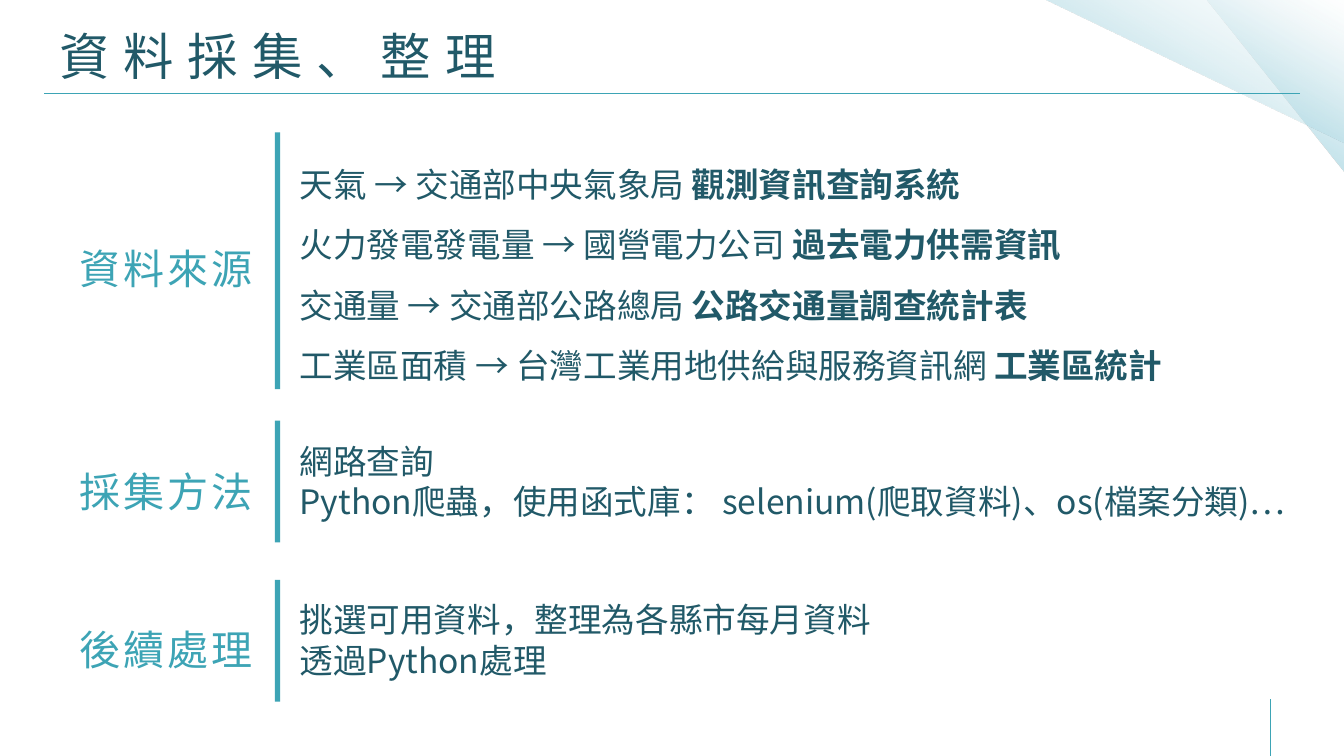
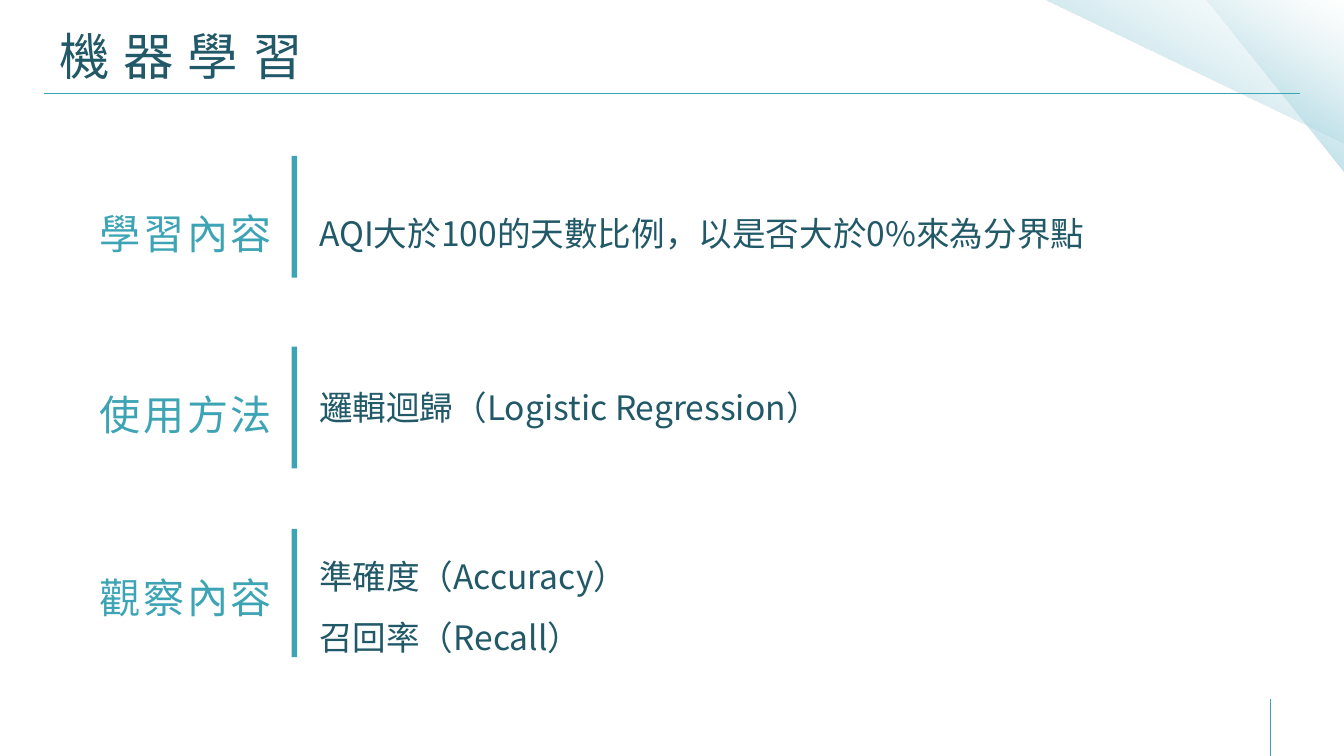
from dataclasses import dataclass

from lxml.etree import SubElement
from pptx import Presentation
from pptx.dml.color import RGBColor
from pptx.enum.shapes import MSO_CONNECTOR as Connector, MSO_SHAPE as Shape
from pptx.enum.text import MSO_ANCHOR as Anchor, MSO_AUTO_SIZE as AutoSize, PP_ALIGN as Align
from pptx.oxml import parse_xml
from pptx.oxml.ns import nsdecls, qn
from pptx.util import Inches, Pt


@dataclass(frozen=True)
class Theme:
    font: str = "Noto Sans CJK SC"
    dark: str = "215968"
    accent: str = "3DA4B5"
    corner_stops: tuple = ((0, "97D1E0", 100), (50, "AAD7E2", 44), (100, "E0F0F4", 0))
    corner_angle: int = 120
    title_size: int = 54
    label_size: int = 44
    text_size: int = 36
    title_tracking: int = 15
    label_tracking: int = 3
    rule_width: int = 1


@dataclass(frozen=True)
class Box:
    left: float
    top: float
    width: float
    height: float

    def inside(self, left, top, width, height):
        return Box(self.left + left, self.top + top, width, height)

    def lengths(self):
        return [grid(value) for value in (self.left, self.top, self.width, self.height)]


@dataclass(frozen=True)
class Section:
    label: str
    lines: tuple
    top: float
    height: float
    label_drop: float
    text_drop: float
    text_height: float
    line_spacing: float = 1.0


@dataclass(frozen=True)
class Topic:
    title: str
    bar_left: float
    label_gap: float
    text_gap: float
    sections: tuple


THEME = Theme()
COLUMNS, ROWS = 20, 11.25
SLIDE_WIDTH = Inches(20)
LABEL_WIDTH, LABEL_HEIGHT = 3.94, 0.85
BAR_WIDTH, TEXT_WIDTH = 0.08, 15.21
COMPARISON_LAYOUT = 4

TOPICS = (
    Topic("資料採集、整理", 4.09, 0.15, 0.27, (
        Section("資料來源", (
            ("天氣 → 交通部中央氣象局 ", "觀測資訊查詢系統"),
            ("火力發電發電量 → 國營電力公司 ", "過去電力供需資訊"),
            ("交通量 → 交通部公路總局 ", "公路交通量調查統計表"),
            ("工業區面積 → 台灣工業用地供給與服務資訊網 ", "工業區統計"),
        ), 1.97, 3.82, 1.42, 0.12, 3.74, 1.5),
        Section("採集方法", (
            ("網路查詢",),
            ("Python爬蟲，使用函式庫： selenium(爬取資料)、os(檔案分類)…",),
        ), 6.26, 1.81, 0.44, 0.25, 1.31),
        Section("後續處理", (
            ("挑選可用資料，整理為各縣市每月資料",),
            ("透過Python處理",),
        ), 8.63, 1.81, 0.43, 0.24, 1.31),
    )),
    Topic("機器學習", 4.34, 0.11, 0.31, (
        Section("學習內容", (
            ("AQI大於100的天數比例，以是否大於0%來為分界點",),
        ), 2.32, 1.81, 0.55, 0.5, 0.9, 1.5),
        Section("使用方法", (
            ("邏輯迴歸（Logistic Regression）",),
        ), 5.16, 1.81, 0.4, 0.55, 0.71),
        Section("觀察內容", (
            ("準確度（Accuracy）",),
            ("召回率（Recall）",),
        ), 7.87, 1.91, 0.41, 0.06, 1.81, 1.5),
    )),
)


def grid(units):
    return int(SLIDE_WIDTH * units / COLUMNS)


def place(item, box):
    item.left, item.top, item.width, item.height = box.lengths()


def style_span(span, size, color, tracking=0, bold=False):
    font = span.font
    font.size, font.name, font.bold = Pt(size), THEME.font, bold
    font.color.rgb = RGBColor.from_string(color)
    properties = font._element
    SubElement(properties, qn("a:ea")).set("typeface", THEME.font)
    if tracking:
        properties.set("spc", str(tracking * 100))


def fill_placeholder(holder, box, text, size, color, tracking, anchor, align):
    place(holder, box)
    frame = holder.text_frame
    frame.text = text
    frame.auto_size, frame.word_wrap = AutoSize.NONE, True
    frame.vertical_anchor = anchor
    frame.margin_left = frame.margin_right = grid(0.18)
    frame.margin_top = frame.margin_bottom = grid(0.09)
    para = frame.paragraphs[0]
    properties = para._p.get_or_add_pPr()
    properties.set("marL", "0")
    properties.set("indent", "0")
    SubElement(properties, qn("a:buNone"))
    para.alignment = align
    style_span(para.runs[0], size, color, tracking)
    return para


def add_corner(page, box):
    corner = page.shapes.add_shape(Shape.RIGHT_TRIANGLE, *box.lengths())
    corner.rotation = 180
    corner.shadow.inherit = False
    corner.line.fill.background()
    corner.fill.solid()
    stops = "".join(
        f'<a:gs pos="{share * 1000}"><a:srgbClr val="{color}">'
        f'<a:alpha val="{opacity * 1000}"/></a:srgbClr></a:gs>'
        for share, color, opacity in THEME.corner_stops
    )
    gradient = parse_xml(
        f'<a:gradFill {nsdecls("a")} rotWithShape="1"><a:gsLst>{stops}</a:gsLst>'
        f'<a:lin ang="{THEME.corner_angle * 60000}" scaled="0"/></a:gradFill>'
    )
    properties = corner.element.spPr
    properties.replace(properties.find(qn("a:solidFill")), gradient)
    return corner


def add_rule(page, *ends):
    rule = page.shapes.add_connector(Connector.STRAIGHT, *(grid(end) for end in ends))
    rule.line.color.rgb = RGBColor.from_string(THEME.accent)
    rule.line.width = Pt(THEME.rule_width)
    SubElement(rule.element.spPr, qn("a:effectLst"))
    return rule


def decorate_layout(layout, page):
    parts = (
        add_corner(page, Box(17.96, 0, 2.04, 2.57)),
        add_corner(page, Box(15.54, 0, 4.48, 2.13)),
        add_rule(page, 0.66, 1.39, 19.34, 1.39),
        add_rule(page, 18.91, ROWS, 18.91, 10.4),
    )
    tree = layout.element.cSld.spTree
    for order, part in enumerate(parts):
        part.element.xpath(".//p:cNvPr")[0].set("id", str(100 + order))
        tree.insert(2 + order, part.element)


def add_bar(page, box):
    bar = page.shapes.add_shape(Shape.RECTANGLE, *box.lengths())
    bar.shadow.inherit = False
    bar.fill.solid()
    bar.fill.fore_color.rgb = RGBColor.from_string(THEME.accent)
    bar.line.fill.background()


def add_lines(page, box, lines, line_spacing):
    frame = page.shapes.add_textbox(*box.lengths()).text_frame
    frame.word_wrap, frame.auto_size = True, AutoSize.SHAPE_TO_FIT_TEXT
    for order, parts in enumerate(lines):
        para = frame.add_paragraph() if order else frame.paragraphs[0]
        para.line_spacing = line_spacing
        for position, text in enumerate(parts):
            span = para.add_run()
            span.text = text
            style_span(span, THEME.text_size, THEME.dark, bold=position > 0)


def add_section(page, holder, box, section, topic):
    label_box = box.inside(-topic.label_gap - LABEL_WIDTH, section.label_drop,
                           LABEL_WIDTH, LABEL_HEIGHT)
    para = fill_placeholder(holder, label_box, section.label, THEME.label_size,
                            THEME.accent, THEME.label_tracking, Anchor.TOP, Align.RIGHT)
    para.line_spacing = 1.2
    add_bar(page, box)
    text_box = box.inside(topic.text_gap, section.text_drop, TEXT_WIDTH, section.text_height)
    add_lines(page, text_box, section.lines, section.line_spacing)


def build_topic(page, topic):
    title, *holders = page.placeholders
    fill_placeholder(title, Box(0.7, 0.21, 18.31, 1.23), topic.title, THEME.title_size,
                     THEME.dark, THEME.title_tracking, Anchor.MIDDLE, Align.LEFT)
    for holder, section in zip(holders, topic.sections):
        box = Box(topic.bar_left, section.top, BAR_WIDTH, section.height)
        add_section(page, holder, box, section, topic)
    for spare in holders[len(topic.sections):]:
        spare.element.getparent().remove(spare.element)


def main():
    deck = Presentation()
    deck.slide_width, deck.slide_height = SLIDE_WIDTH, grid(ROWS)
    layout = deck.slide_layouts[COMPARISON_LAYOUT]
    pages = [deck.slides.add_slide(layout) for _ in TOPICS]
    decorate_layout(layout, pages[0])
    for page, topic in zip(pages, TOPICS):
        build_topic(page, topic)
    deck.save("out.pptx")


if __name__ == "__main__":
    main()
